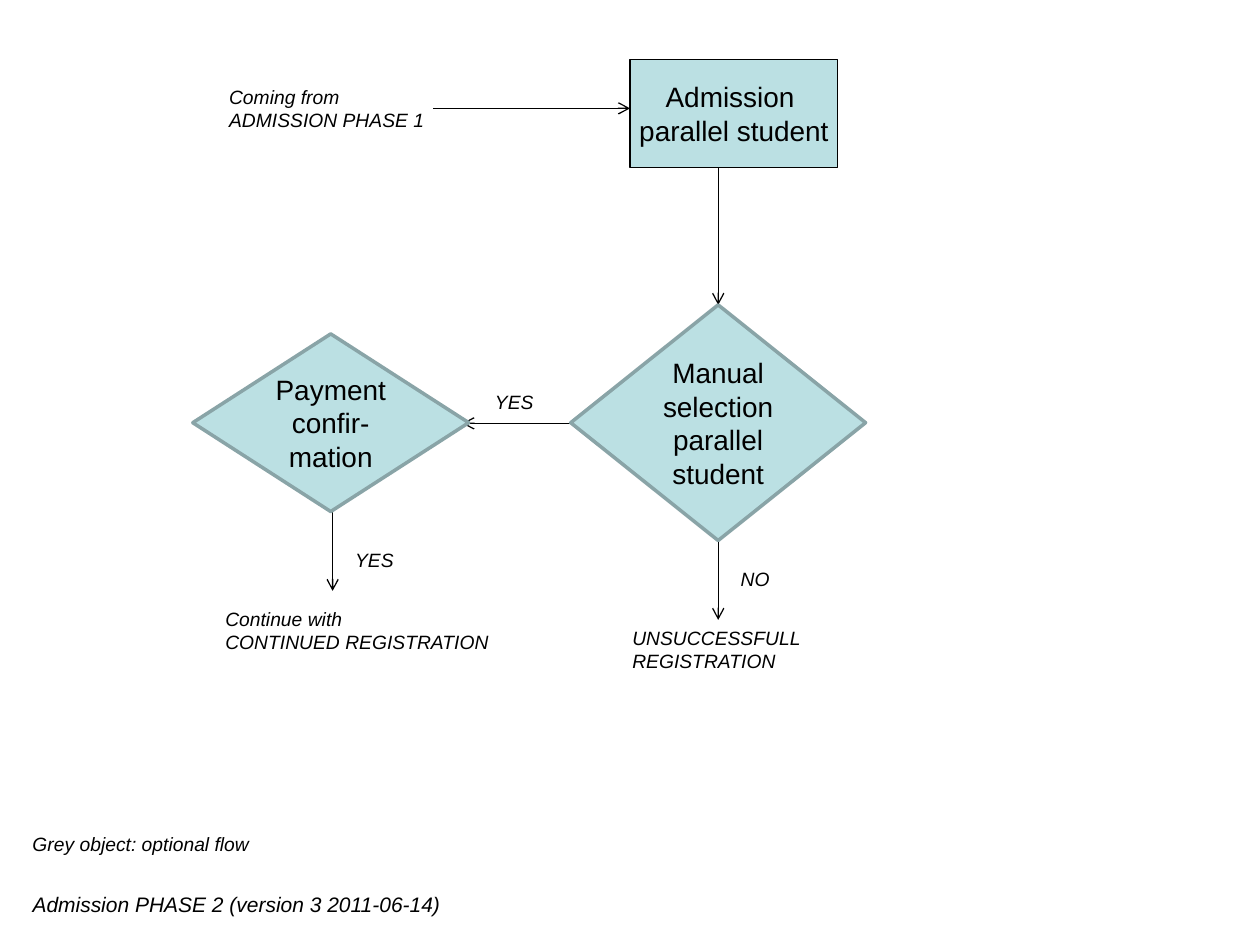
from dataclasses import dataclass

from lxml import etree
from pptx import Presentation
from pptx.dml.color import RGBColor
from pptx.enum.shapes import MSO_CONNECTOR, MSO_SHAPE
from pptx.enum.text import MSO_ANCHOR, MSO_AUTO_SIZE, PP_ALIGN
from pptx.oxml.ns import qn
from pptx.util import Emu, Pt

RECTANGLE = MSO_SHAPE.RECTANGLE
DECISION = MSO_SHAPE.FLOWCHART_DECISION
STRAIGHT = MSO_CONNECTOR.STRAIGHT
MIDDLE = MSO_ANCHOR.MIDDLE
GROW = MSO_AUTO_SIZE.SHAPE_TO_FIT_TEXT
LEFT, CENTER = PP_ALIGN.LEFT, PP_ALIGN.CENTER

EMU_PER_PX = 9144
BLANK_LAYOUT = 6
COLORS = {"ink": "000000", "node": "BBE0E3", "decision_edge": "89A4A7"}
NODE_FONT = {"name": "Arial", "size": Pt(16), "italic": False}
LABEL_FONT = {"name": "Arial", "size": Pt(11), "italic": True}
CAPTION_FONT = {**LABEL_FONT, "size": Pt(12)}


@dataclass(frozen=True)
class Node:
    kind: int
    left: int
    top: int
    width: int
    height: int
    lines: tuple
    edge: str = "decision_edge"
    edge_points: float = 2
    wrap: bool = True


@dataclass(frozen=True)
class Label:
    left: int
    top: int
    width: int
    height: int
    lines: tuple
    font: dict


@dataclass(frozen=True)
class Arrow:
    start_x: int
    start_y: int
    end_x: int
    end_y: int


ARROWS = [
    Arrow(344, 86, 500, 86),
    Arrow(570, 133, 570, 242),
    Arrow(453, 336, 367, 336),
    Arrow(570, 430, 570, 492),
    Arrow(264, 406, 264, 469),
]
NODES = [
    Node(RECTANGLE, 500, 47, 165, 86, ("Admission ", "parallel student"), "ink", 0.75, False),
    Node(DECISION, 453, 242, 234, 187, ("Manual selection parallel student",)),
    Node(DECISION, 153, 265, 219, 141, ("Payment confir-", "mation")),
]
LABELS = [
    Label(172, 63, 187, 47, ("Coming from", "ADMISSION PHASE 1"), LABEL_FONT),
    Label(383, 305, 55, 29, ("YES",), LABEL_FONT),
    Label(578, 445, 55, 29, ("NO",), LABEL_FONT),
    Label(272, 430, 55, 29, ("YES",), LABEL_FONT),
    Label(169, 477, 234, 47, ("Continue with", "CONTINUED REGISTRATION"), LABEL_FONT),
    Label(492, 492, 164, 47, ("UNSUCCESSFULL REGISTRATION",), LABEL_FONT),
    Label(16, 656, 234, 29, ("Grey object: optional flow",), LABEL_FONT),
    Label(16, 703, 355, 30, ("Admission PHASE 2 (version 3 2011-06-14)",), CAPTION_FONT),
]


def px(*lengths: int) -> list[Emu]:
    return [Emu(length * EMU_PER_PX) for length in lengths]


def color(name: str) -> RGBColor:
    return RGBColor.from_string(COLORS[name])


def write_lines(frame, lines: tuple, font: dict, alignment) -> None:
    for index, line in enumerate(lines):
        para = frame.paragraphs[0] if index == 0 else frame.add_paragraph()
        para.alignment = alignment
        span = para.add_run()
        span.text = line
        for attribute, value in font.items():
            setattr(span.font, attribute, value)
        span.font.color.rgb = color("ink")


def draw_arrow(page, arrow: Arrow) -> None:
    ends = px(arrow.start_x, arrow.start_y, arrow.end_x, arrow.end_y)
    connector = page.shapes.add_connector(STRAIGHT, *ends)
    connector.line.color.rgb = color("ink")
    connector.line.width = Pt(0.75)
    line = connector.line._get_or_add_ln()
    etree.SubElement(line, qn("a:tailEnd"), type="arrow")
    etree.SubElement(connector._element.spPr, qn("a:effectLst"))


def draw_node(page, node: Node) -> None:
    bounds = px(node.left, node.top, node.width, node.height)
    shape = page.shapes.add_shape(node.kind, *bounds)
    shape.shadow.inherit = False
    shape.fill.solid()
    shape.fill.fore_color.rgb = color(node.fill if hasattr(node, "fill") else "node")
    shape.line.color.rgb = color(node.edge)
    shape.line.width = Pt(node.edge_points)
    frame = shape.text_frame
    frame.word_wrap = node.wrap
    frame.vertical_anchor = MIDDLE
    write_lines(frame, node.lines, NODE_FONT, CENTER)


def draw_label(page, label: Label) -> None:
    bounds = px(label.left, label.top, label.width, label.height)
    box = page.shapes.add_textbox(*bounds)
    frame = box.text_frame
    frame.word_wrap = True
    frame.auto_size = GROW
    write_lines(frame, label.lines, label.font, LEFT)


def main() -> None:
    deck = Presentation()
    deck.slide_width, deck.slide_height = px(1000, 750)
    page = deck.slides.add_slide(deck.slide_layouts[BLANK_LAYOUT])
    for arrow in ARROWS:
        draw_arrow(page, arrow)
    for node in NODES:
        draw_node(page, node)
    for label in LABELS:
        draw_label(page, label)
    deck.save("out.pptx")


if __name__ == "__main__":
    main()
